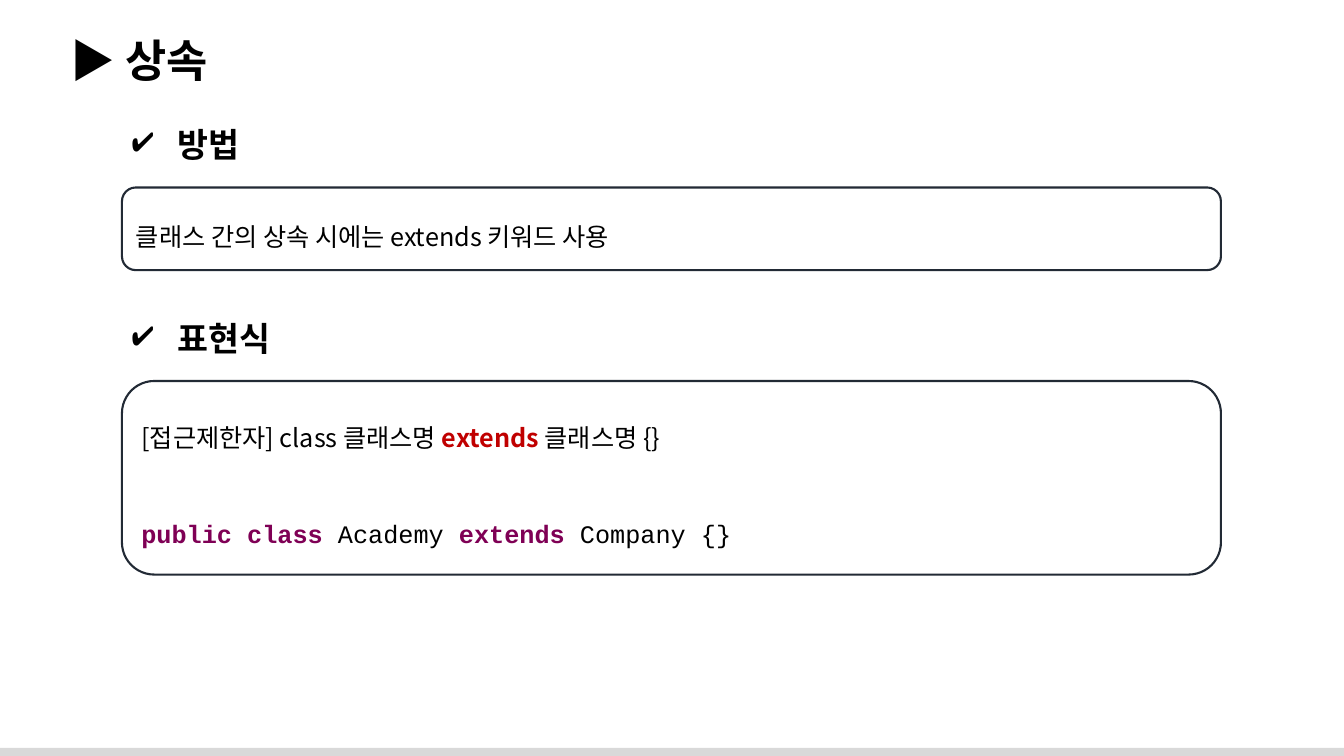
from lxml import etree
from pptx import Presentation
from pptx import util as u
from pptx.dml.color import RGBColor
from pptx.enum import shapes, text
from pptx.oxml.ns import qn

SANS = "Noto Sans CJK KR"
MONO = "Courier New"
BLACK, RED, PLUM = "000000", "C00000", "7F0055"
LEFT, WIDE = 1.21, 10.9


def color(code):
    return RGBColor.from_string(code)


def write(para, words, size=18, font=SANS, ink=BLACK, bold=False):
    run = para.add_run()
    run.text = words
    run.font.size = u.Pt(size)
    run.font.name = font
    run.font.bold = bold
    run.font.color.rgb = color(ink)
    east = etree.SubElement(run.font._element, qn("a:ea"))
    east.set("typeface", font)


def check(para):
    """Give the paragraph a check mark with a hanging indent."""
    props = para._p.get_or_add_pPr()
    props.set("marL", str(u.Inches(0.38)))
    props.set("indent", str(-u.Inches(0.38)))
    tint = etree.SubElement(props, qn("a:buClr"))
    etree.SubElement(tint, qn("a:srgbClr")).set("val", BLACK)
    etree.SubElement(props, qn("a:buChar")).set("char", "✔")


def label(slide, words, left, top, width, height, size, mark=False):
    area = slide.shapes.add_textbox(*map(u.Inches, (left, top, width, height)))
    frame = area.text_frame
    frame.word_wrap = True
    frame.auto_size = text.MSO_AUTO_SIZE.SHAPE_TO_FIT_TEXT
    para = frame.paragraphs[0]
    if mark:
        check(para)
    write(para, words, size=size, bold=True)


def block(slide, kind, left, top, width, height):
    item = slide.shapes.add_shape(
        kind, *map(u.Inches, (left, top, width, height)))
    item.shadow.inherit = False
    return item


def panel(slide, top, height, lines, gap=0):
    """Draw a rounded box; each line is a list of (words, format) runs."""
    box = block(slide, shapes.MSO_SHAPE.ROUNDED_RECTANGLE,
                LEFT, top, WIDE, height)
    box.fill.background()
    box.line.color.rgb = color("222A35")
    box.line.width = u.Pt(1.5)
    frame = box.text_frame
    frame.word_wrap = True
    frame.vertical_anchor = text.MSO_ANCHOR.MIDDLE
    for row, runs in enumerate(lines):
        para = frame.add_paragraph() if row else frame.paragraphs[0]
        para.alignment = text.PP_ALIGN.LEFT
        para.line_spacing = 1.5
        if row:
            para.space_before = u.Pt(gap)
        for words, style in runs:
            write(para, words, **style)


def main():
    deck = Presentation()
    deck.slide_width, deck.slide_height = u.Inches(13.33), u.Inches(7.5)
    slide = deck.slides.add_slide(deck.slide_layouts[6])

    strip = block(slide, shapes.MSO_SHAPE.RECTANGLE, 0, 7.42, 13.33, 0.08)
    strip.fill.solid()
    strip.fill.fore_color.rgb = color("D9D9D9")
    strip.line.fill.background()

    label(slide, "▶ 상속", 0.6, 0.28, 12.6, 0.64, 32)
    label(slide, " 방법", LEFT, 1.18, 1.37, 0.5, 24, mark=True)
    label(slide, " 표현식", LEFT, 3.1, 1.71, 0.5, 24, mark=True)

    panel(slide, 1.86, 0.82,
          [[("클래스 간의 상속 시에는 extends 키워드 사용", {})]])

    code = {"font": MONO}
    key = {"font": MONO, "ink": PLUM, "bold": True}
    form = [("[접근제한자] class 클래스명 ", {}),
            ("extends", {"ink": RED, "bold": True}),
            (" 클래스명 {}", {})]
    sample = [("public class ", key), ("Academy ", code),
              ("extends ", key), ("Company {}", code)]
    panel(slide, 3.78, 1.92, [form, sample], gap=36)

    deck.save("out.pptx")


if __name__ == "__main__":
    main()
